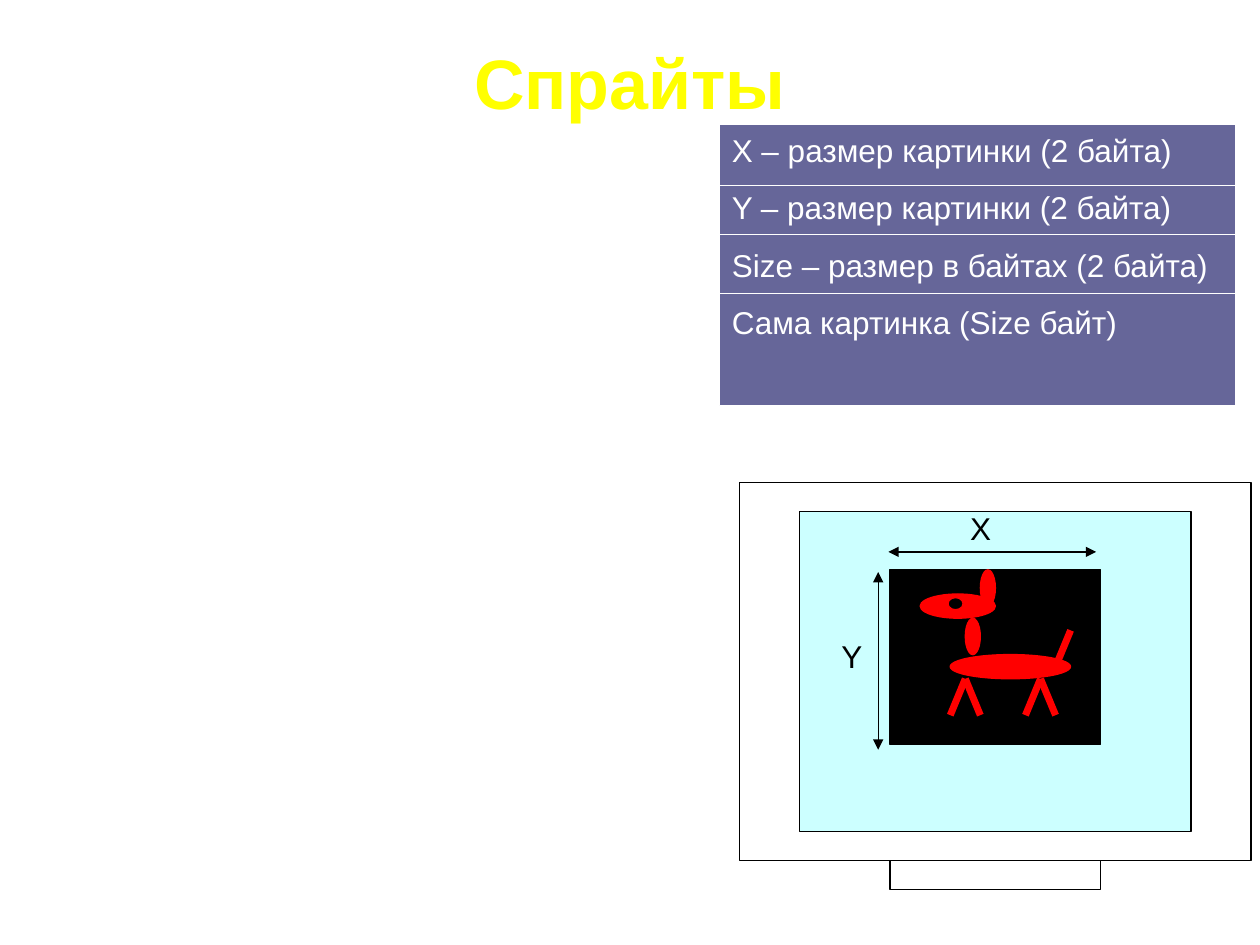
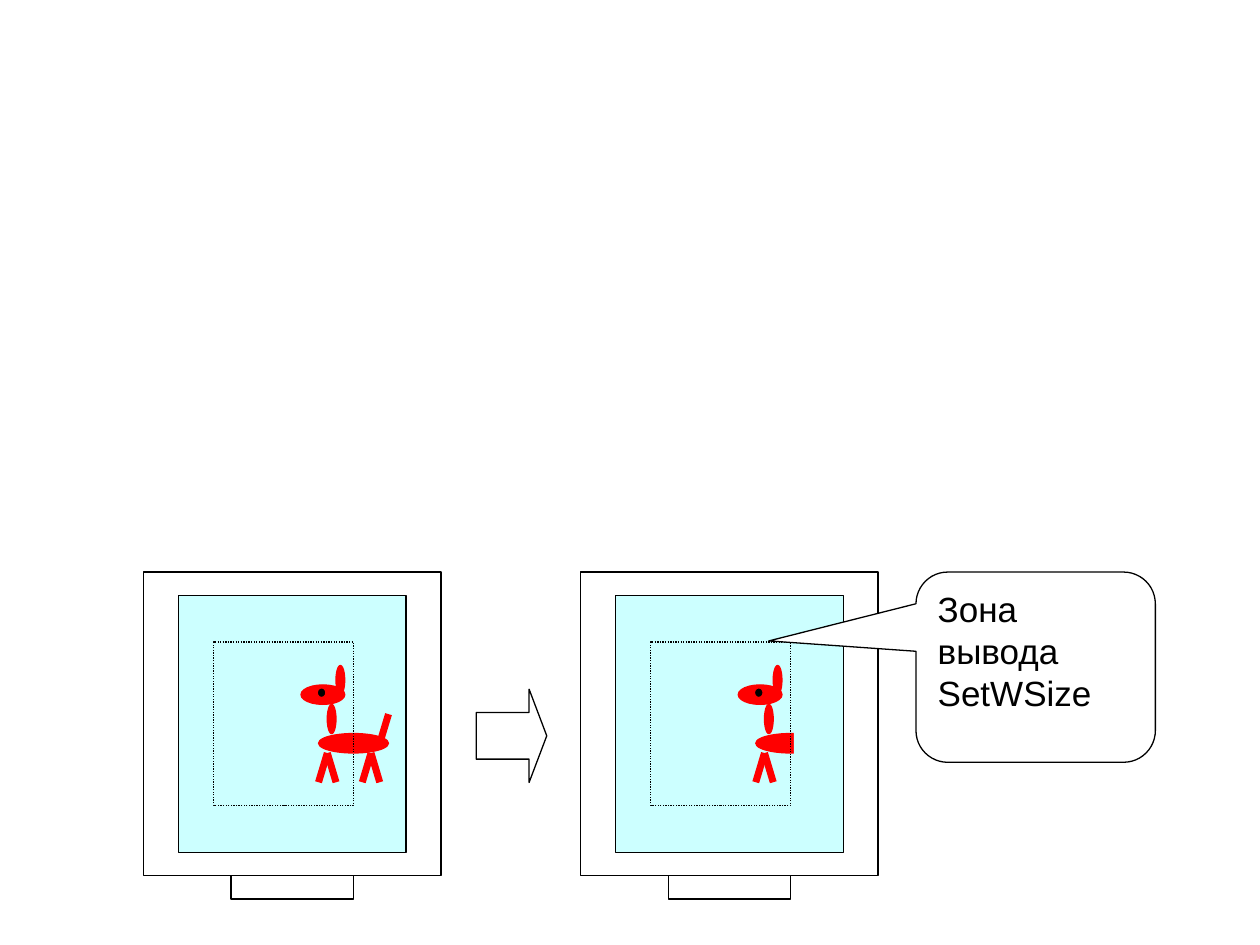
from dataclasses import dataclass

from lxml import etree
from pptx import Presentation
from pptx.dml.color import RGBColor
from pptx.enum.dml import MSO_LINE
from pptx.enum.shapes import MSO_CONNECTOR, MSO_SHAPE
from pptx.enum.text import MSO_ANCHOR, PP_ALIGN
from pptx.oxml.ns import qn
from pptx.util import Inches, Pt

WHITE = RGBColor(0xFF, 0xFF, 0xFF)
BLACK = RGBColor(0x00, 0x00, 0x00)
RED = RGBColor(0xFF, 0x00, 0x00)
YELLOW = RGBColor(0xFF, 0xFF, 0x00)
SLATE = RGBColor(0x66, 0x66, 0x99)
SCREEN = RGBColor(0xCC, 0xFF, 0xFF)

RECT, OVAL = MSO_SHAPE.RECTANGLE, MSO_SHAPE.OVAL
ARROW = MSO_SHAPE.RIGHT_ARROW
CALLOUT = MSO_SHAPE.ROUNDED_RECTANGULAR_CALLOUT
STRAIGHT = MSO_CONNECTOR.STRAIGHT
DOTTED = MSO_LINE.ROUND_DOT
TOP, MIDDLE = MSO_ANCHOR.TOP, MSO_ANCHOR.MIDDLE
LEFT, CENTER = PP_ALIGN.LEFT, PP_ALIGN.CENTER

THIN, LIMB = 0.75, 4
TITLE = {"name": "Arial", "size": Pt(40), "bold": True}
BODY = {"name": "Arial", "size": Pt(18)}
NOTE = {"name": "Arial", "size": Pt(20)}

MONITOR_COLS, MONITOR_ROWS = 34, 26
SPRITE_ROW = 10 / 12


@dataclass
class Grid:
    """Columns and rows, in inches, counted from a corner on the slide."""
    left: float
    top: float
    col: float
    row: float

    def point(self, col, row):
        """Return the slide position of a grid point."""
        return Inches(self.left + col * self.col), Inches(self.top + row * self.row)

    def box(self, col, row, cols, rows):
        """Return left, top, width and height of a block of cells."""
        return *self.point(col, row), Inches(cols * self.col), Inches(rows * self.row)

    def inner(self, col, row, row_share):
        """Return a grid that starts inside this one, with scaled rows."""
        return Grid(self.left + col * self.col, self.top + row * self.row,
                    self.col, self.row * row_share)


PAGE = Grid(0, 0, 0.1, 0.1)


def add_figure(slide, kind, box, fill=None, outline=BLACK, dash=None):
    """Add a preset shape with an optional fill and outline."""
    figure = slide.shapes.add_shape(kind, *box)
    figure.shadow.inherit = False
    for part, colour in ((figure.fill, fill), (figure.line.fill, outline)):
        if colour is None:
            part.background()
        else:
            part.solid()
            part.fore_color.rgb = colour
    if outline is not None:
        figure.line.width = Pt(THIN)
        figure.line.dash_style = dash
    return figure


def add_stroke(slide, start, end, colour=BLACK, width=THIN, arrows=False):
    """Add a straight line, with arrowheads at both ends if asked."""
    stroke = slide.shapes.add_connector(STRAIGHT, *start, *end)
    stroke.line.color.rgb = colour
    stroke.line.width = Pt(width)
    if arrows:
        for end_tag in ("a:headEnd", "a:tailEnd"):
            etree.SubElement(stroke.line._get_or_add_ln(), qn(end_tag), type="triangle")
    etree.SubElement(stroke._element.spPr, qn("a:effectLst"))


def write(holder, lines, style, colour, align=LEFT, anchor=TOP, gap=0):
    """Fill a shape or text box with equally styled paragraphs."""
    frame = holder.text_frame
    frame.word_wrap = True
    frame.vertical_anchor = anchor
    for index, line in enumerate(lines):
        paragraph = frame.paragraphs[0] if index == 0 else frame.add_paragraph()
        paragraph.text = line
        paragraph.alignment = align
        paragraph.space_before = Pt(gap if index else 0)
        for name, value in style.items():
            setattr(paragraph.font, name, value)
        paragraph.font.color.rgb = colour


def add_label(slide, box, text, style=BODY, colour=BLACK, align=LEFT, anchor=TOP):
    """Add a text box with one paragraph."""
    write(slide.shapes.add_textbox(*box), [text], style, colour, align, anchor)


def add_monitor(slide, left, top, width, height):
    """Draw a monitor and return the grid of its case."""
    case = Grid(left, top, width / MONITOR_COLS, height / MONITOR_ROWS)
    for block, fill in (((0, 0, MONITOR_COLS, MONITOR_ROWS), WHITE),
                        ((10, MONITOR_ROWS, 14, 2), WHITE),
                        ((4, 2, 26, 22), SCREEN)):
        add_figure(slide, RECT, case.box(*block), fill)
    return case


def add_dog(slide, case, col, row, whole=True):
    """Draw the sprite dog; a clipped one has no hind legs or tail."""
    dog = case.inner(col, row, SPRITE_ROW)
    head, neck, body = (0, 2, 5, 2), (3, 4, 1, 3), (2, 7, 8, 2)
    eye, ear = (1.85, 2.3, 1, 1), (4, 0, 1, 3)
    for part in (head, neck, body):
        add_figure(slide, OVAL, dog.box(*part), RED, RED)
    hips = (3, 8) if whole else (3,)
    limbs = [((hip, 9), (hip + step, 12)) for hip in hips for step in (-1, 1)]
    if whole:
        limbs.append(((10, 5), (9, 8)))
    for start, end in limbs:
        add_stroke(slide, dog.point(*start), dog.point(*end), RED, LIMB)
    add_figure(slide, OVAL, dog.box(*eye), BLACK, RED)
    add_figure(slide, OVAL, dog.box(*ear), RED, RED)


def add_record(slide):
    """Draw the sprite record with its fields and dividers."""
    left, top, cols, rows = 57.1, 9.9, 41, 22.3
    record = add_figure(slide, RECT, PAGE.box(left, top, cols, rows), SLATE, WHITE)
    write(record, ["Х – размер картинки (2 байта)",
                   "Y – размер картинки (2 байта)",
                   "Size – размер в байтах (2 байта)",
                   "Сама картинка (Size байт)"], BODY, WHITE, gap=11.2)
    for row in (14.7, 18.6, 23.3):
        add_stroke(slide, PAGE.point(left, row), PAGE.point(left + cols, row), WHITE)


def build_sprite_slide(slide):
    """Show the sprite record and the sprite's size on screen."""
    add_label(slide, PAGE.box(5, 3, 90, 6.9), "Спрайты", TITLE, YELLOW, CENTER, MIDDLE)
    add_record(slide)
    case = add_monitor(slide, 5.87, 3.83, 4.06, 3)
    add_figure(slide, RECT, case.box(10, 6, 14, 12), BLACK)
    add_dog(slide, case, 12, 6)
    add_stroke(slide, PAGE.point(70.5, 43.8), PAGE.point(87, 43.8), arrows=True)
    add_label(slide, PAGE.box(76, 39.9, 5.5, 4), "Х")
    add_stroke(slide, PAGE.point(69.7, 59.5), PAGE.point(69.7, 45.4), arrows=True)
    add_label(slide, PAGE.box(65.8, 50.1, 3.1, 4), "Y")


def build_clipping_slide(slide):
    """Show a sprite before and after clipping by the output zone."""
    for left, whole in ((1.14, True), (4.61, False)):
        case = add_monitor(slide, left, 4.54, 2.36, 2.41)
        add_dog(slide, case, 18, 8, whole)
        add_figure(slide, RECT, case.box(8, 6, 16, 14), dash=DOTTED)
        if not whole:
            add_figure(slide, RECT, case.box(24.35, 9, 5.2, 12), SCREEN, None)
    step = add_figure(slide, ARROW, PAGE.box(37.8, 54.7, 5.6, 7.4), WHITE)
    step.adjustments[1] = 0.25
    zone_note = add_figure(slide, CALLOUT, PAGE.box(72.7, 45.4, 19, 15.1), WHITE)
    for index, value in enumerate((-1.115, -0.138, 0.167)):
        zone_note.adjustments[index] = value
    write(zone_note, ["Зона вывода SetWSize"], NOTE, BLACK)


def main():
    """Build and save the deck."""
    deck = Presentation()
    deck.slide_width, deck.slide_height = Inches(10), Inches(7.5)
    blank = deck.slide_layouts[6]
    for build in (build_sprite_slide, build_clipping_slide):
        build(deck.slides.add_slide(blank))
    deck.save("out.pptx")


if __name__ == "__main__":
    main()
